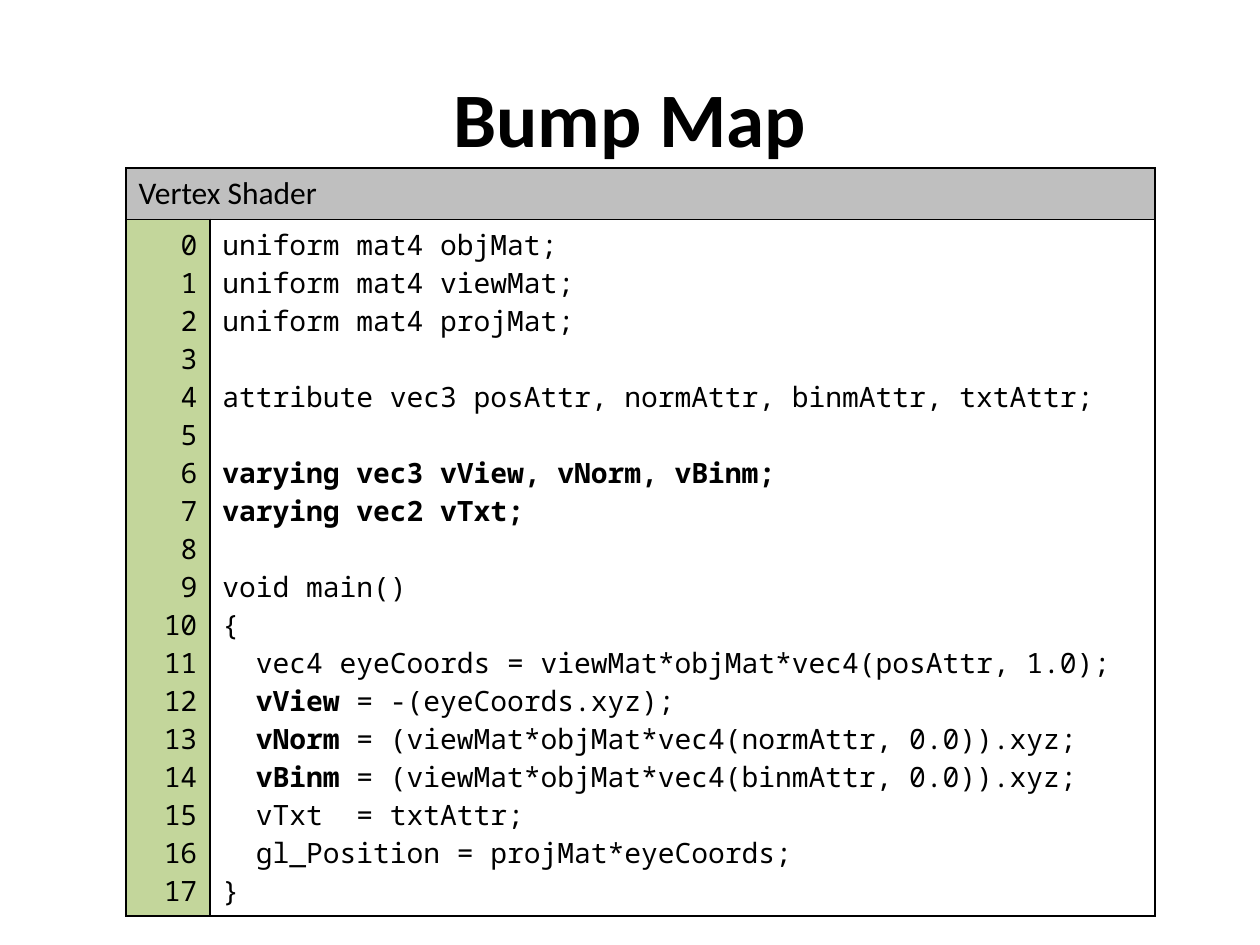
from lxml.etree import SubElement
from pptx import Presentation
from pptx.dml.color import RGBColor
from pptx.enum.text import MSO_ANCHOR, PP_ALIGN
from pptx.oxml.ns import qn
from pptx.util import Cm, Pt

TITLE = "Bump Map"
HEADER = "Vertex Shader"
# = bold text sits between asterisk-free marks
CODE = [
    "uniform mat4 objMat;",
    "uniform mat4 viewMat;",
    "uniform mat4 projMat;",
    "",
    "attribute vec3 posAttr, normAttr, binmAttr, txtAttr;",
    "",
    "|varying vec3 vView, vNorm, vBinm;|",
    "|varying vec2 vTxt;|",
    "",
    "void main()",
    "{",
    "  vec4 eyeCoords = viewMat*objMat*vec4(posAttr, 1.0);",
    "  |vView| = -(eyeCoords.xyz);",
    "  |vNorm| = (viewMat*objMat*vec4(normAttr, 0.0)).xyz;",
    "  |vBinm| = (viewMat*objMat*vec4(binmAttr, 0.0)).xyz;",
    "  vTxt  = txtAttr;",
    "  gl_Position = projMat*eyeCoords;",
    "}",
]
COLORS = {"text": "000000", "line": "000000", "header": "BFBFBF",
          "numbers": "C3D69B", "code": "FFFFFF"}
BODY, MONO = "Calibri", "Noto Sans Mono"
COLS = [1.69, 19.05]
ROWS = [1.03, 14.02]


def style(p, name, size, bold=None, align=PP_ALIGN.LEFT):
    p.alignment = align
    f = p.font
    f.name, f.size, f.bold = name, Pt(size), bold
    f.color.rgb = RGBColor.from_string(COLORS["text"])


def format_cell(cell, color):
    tcPr = cell._tc.get_or_add_tcPr()
    for side in ("a:lnL", "a:lnR", "a:lnT", "a:lnB"):
        ln = SubElement(tcPr, qn(side), w=str(Pt(1)))
        fill = SubElement(ln, qn("a:solidFill"))
        SubElement(fill, qn("a:srgbClr"), val=COLORS["line"])
    cell.fill.solid()
    cell.fill.fore_color.rgb = RGBColor.from_string(COLORS[color])


def add_lines(cell, lines, align):
    tf = cell.text_frame
    for i, line in enumerate(lines):
        p = tf.add_paragraph() if i else tf.paragraphs[0]
        style(p, MONO, 16, align=align)
        for j, part in enumerate(line.split("|")):
            if part:
                r = p.add_run()
                r.text = part
                if j % 2:
                    r.font.bold = True
        if not line:
            SubElement(p._p, qn("a:endParaRPr"), sz="1600")


def main():
    """Build the shader listing slide."""
    prs = Presentation()
    prs.slide_width, prs.slide_height = Cm(25.4), Cm(19.05)
    s = prs.slides.add_slide(prs.slide_layouts[5])
    title = s.shapes.title
    title.left, title.top, title.width, title.height = Cm(1.27), Cm(0.76), Cm(22.86), Cm(3.18)
    title.text_frame.text = TITLE
    title.text_frame.vertical_anchor = MSO_ANCHOR.MIDDLE
    style(title.text_frame.paragraphs[0], BODY, 44, True, PP_ALIGN.CENTER)

    tbl = s.shapes.add_table(2, 2, Cm(2.54), Cm(3.39), Cm(sum(COLS)), Cm(sum(ROWS))).table
    tbl.first_row = tbl.horz_banding = False
    for col, w in zip(tbl.columns, COLS):
        col.width = Cm(w)
    for row, h in zip(tbl.rows, ROWS):
        row.height = Cm(h)
    head, numbers, code = tbl.cell(0, 0), tbl.cell(1, 0), tbl.cell(1, 1)
    head.merge(tbl.cell(0, 1))
    head.text_frame.text = HEADER
    style(head.text_frame.paragraphs[0], BODY, 18)
    add_lines(numbers, [str(n) for n in range(len(CODE))], PP_ALIGN.RIGHT)
    add_lines(code, CODE, PP_ALIGN.LEFT)
    for cell, color in ((head, "header"), (tbl.cell(0, 1), "header"),
                        (numbers, "numbers"), (code, "code")):
        format_cell(cell, color)
    prs.save("out.pptx")


if __name__ == "__main__":
    main()
